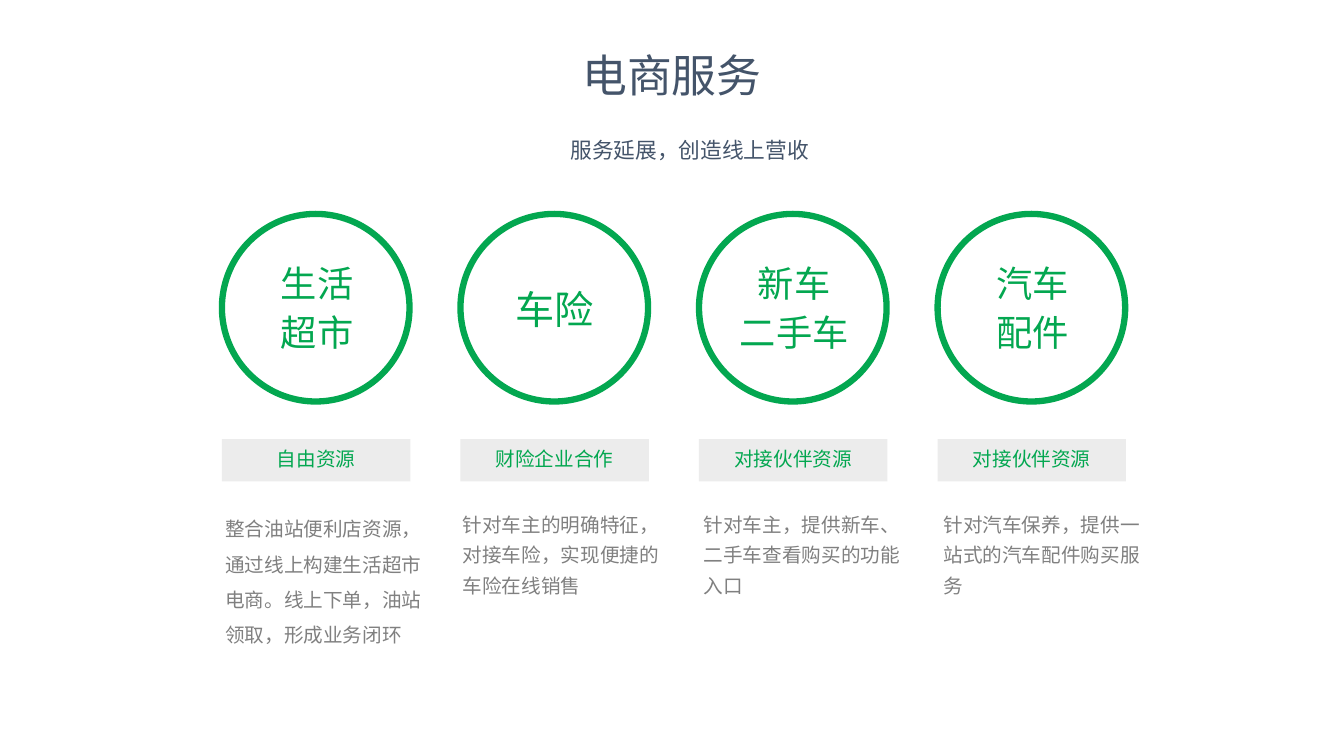
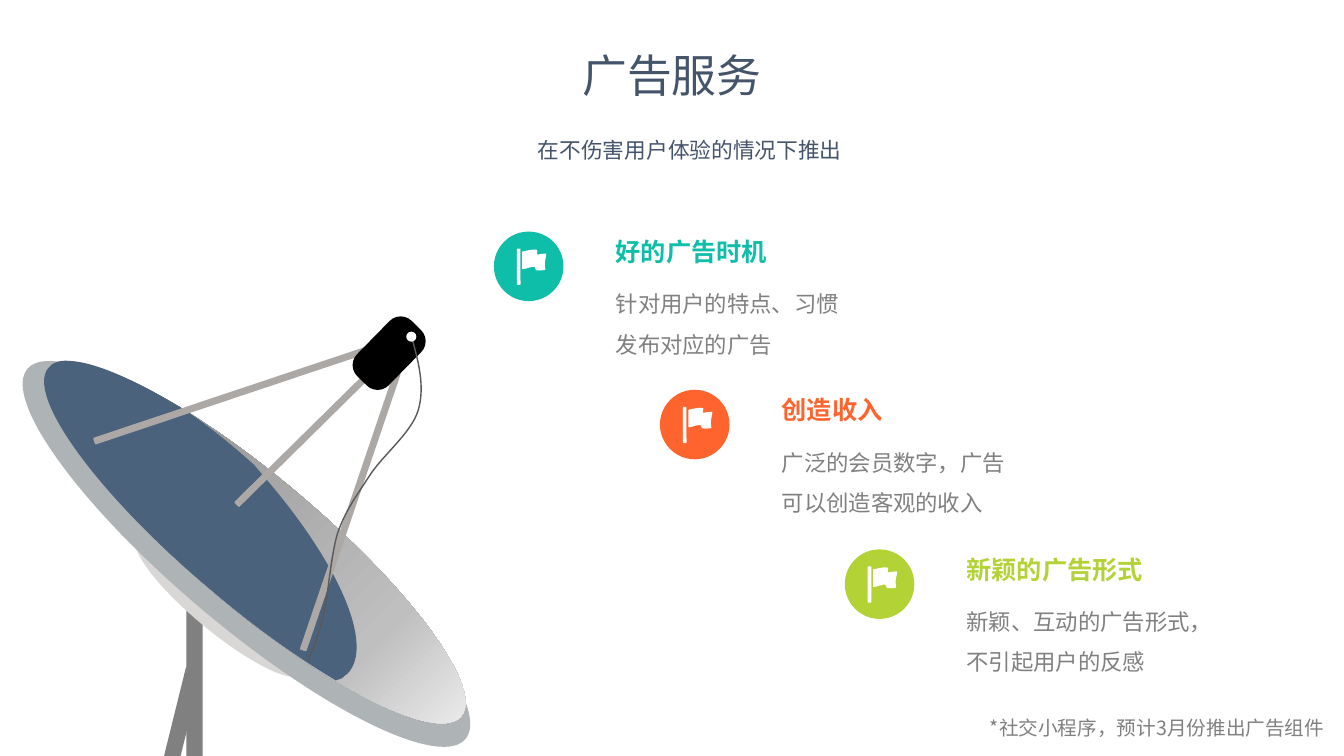
"""Build two service slides: e-commerce cards and advertising steps."""
import pptx
import pptx.dml.color
import pptx.enum.shapes
import pptx.enum.text
import pptx.oxml
import pptx.oxml.ns
import pptx.util

Pt = pptx.util.Pt
RGBColor = pptx.dml.color.RGBColor
SHAPE = pptx.enum.shapes.MSO_SHAPE
ALIGN = pptx.enum.text.PP_ALIGN
ANCHOR = pptx.enum.text.MSO_ANCHOR
qn = pptx.oxml.ns.qn

NAVY = RGBColor(0x44, 0x54, 0x6A)
GREEN = RGBColor(0x03, 0xA7, 0x50)
GRAY = RGBColor(0x80, 0x80, 0x80)
PALE = RGBColor(0xEC, 0xEC, 0xEC)
WHITE = RGBColor(0xFF, 0xFF, 0xFF)
BLACK = RGBColor(0x00, 0x00, 0x00)
TEAL = RGBColor(0x0E, 0xBE, 0xA9)
ORANGE = RGBColor(0xFF, 0x64, 0x2E)
LIME = RGBColor(0xB2, 0xD2, 0x35)
DISH_BACK = RGBColor(0xD8, 0xD7, 0xD6)
DISH_RIM = RGBColor(0xAE, 0xB3, 0xB5)
DISH_FACE = RGBColor(0x4B, 0x62, 0x7C)
STRUT = RGBColor(0xAB, 0xA8, 0xA5)
WIRE = RGBColor(0x59, 0x59, 0x59)

LATO = "Lato"
NOTO = "Noto Sans CJK SC"
NO_INSETS = (0, 0, 0, 0)
DEFAULT_INSETS = (7.2, 3.6, 7.2, 3.6)

CARDS = [
    (["生活", "超市"], "自由资源", 160.8,
     "整合油站便利店资源，通过线上构建生活超市电商。线上下单，油站领取，形成业务闭环", 1.5),
    (["车险"], "财险企业合作", 330.5,
     "针对车主的明确特征，对接车险，实现便捷的车险在线销售", 1.3),
    (["新车", "二手车"], "对接伙伴资源", 502.6,
     "针对车主，提供新车、二手车查看购买的功能入口", 1.3),
    (["汽车", "配件"], "对接伙伴资源", 673.9,
     "针对汽车保养，提供一站式的汽车配件购买服务", 1.3),
]
STEPS = [
    (352.8, 165.4, TEAL, "好的广告时机", "针对用户的特点、习惯发布对应的广告"),
    (471.4, 278.4, ORANGE, "创造收入", "广泛的会员数字，广告可以创造客观的收入"),
    (603.4, 392.4, LIME, "新颖的广告形式", "新颖、互动的广告形式，不引起用户的反感"),
]

FLAG = [
    (37.4, 15.8), (37.4, 15.8, 33.1, 15.8, 31, 16.6),
    (30.2, 16.6, 31, 14.4, 31, 13.7), (31, 11.5, 20.2, 14.4, 20.2, 14.4),
    (20.2, 26.6), (20.2, 26.6, 20.9, 27.4, 22.3, 26.6),
    (25.2, 25.9, 30.2, 23.8, 29.5, 26.6), (28.8, 28.8, 36.7, 27.4, 36.7, 27.4),
    (36.7, 27.4, 36, 22.3, 36.7, 20.2), (37.4, 17.3, 37.4, 15.8, 37.4, 15.8),
]
FACE_OUTLINE = [
    (49.7, 257.8), (66.2, 258.5, 92.2, 269.3, 123.8, 288), (132.5, 293),
    (137.5, 296.6), (149.8, 305.3, 162.7, 315.4, 175.7, 326.9),
    (181.4, 331.9), (193, 345.6), (243.4, 405.4, 267.1, 461.5, 248.4, 481),
    (247, 482.4, 245.5, 483.1, 244.1, 484.6), (239.8, 486), (237.6, 484.6),
    (211, 468.7, 180.7, 447.1, 150.5, 421.2),
    (69.8, 353.5, 18, 282.2, 34.6, 262.8), (37.4, 259.2, 42.5, 257, 49.7, 257.8),
]
WIRE_LINE = [
    (293.8, 239.8), (298.8, 257.8, 303.8, 275.8, 298.8, 293),
    (293.8, 309.6, 272.9, 325.4, 263.5, 340.6),
    (254.2, 355, 247, 364.3, 241.2, 380.9),
    (236.2, 397.4, 234.7, 424.1, 231.1, 439.2),
    (227.5, 454.3, 223.9, 463.7, 219.6, 472.3),
]


def set_all(target, values):
    """Set each named attribute of the target."""
    for name, value in values.items():
        setattr(target, name, value)


def write(box, lines, size, color, font=NOTO, bold=False, align=ALIGN.LEFT,
          spacing=1.0, gap=0, anchor=ANCHOR.TOP, insets=NO_INSETS):
    """Fill the box with one formatted paragraph per line."""
    frame = box.text_frame
    left, top, right, bottom = map(Pt, insets)
    set_all(frame, {
        "word_wrap": True, "auto_size": pptx.enum.text.MSO_AUTO_SIZE.NONE,
        "vertical_anchor": anchor, "margin_left": left, "margin_top": top,
        "margin_right": right, "margin_bottom": bottom})
    for index, line in enumerate(lines):
        para = frame.add_paragraph() if index else frame.paragraphs[0]
        set_all(para, {"alignment": align, "line_spacing": spacing,
                       "space_before": Pt(gap if index else 0)})
        span = para.add_run()
        span.text = line
        set_all(span.font, {"size": Pt(size), "bold": bold, "name": font})
        span.font.color.rgb = color
        properties = span._r.get_or_add_rPr()
        properties.set("lang", "zh-CN")
        properties.append(properties.makeelement(qn("a:ea"), {"typeface": LATO}))


def place(box, left, top, width, height):
    """Move and size a placeholder."""
    set_all(box, {"left": Pt(left), "top": Pt(top),
                  "width": Pt(width), "height": Pt(height)})


def add_text(page, bounds, lines, size, color, **options):
    """Add a text box."""
    box = page.shapes.add_textbox(*map(Pt, bounds))
    write(box, lines, size, color, **options)


def paint(shape, fill=None, line=None, width=0):
    """Give a shape its fill and line without a shadow."""
    shape.shadow.inherit = False
    if fill is None:
        shape.fill.background()
    else:
        shape.fill.solid()
        shape.fill.fore_color.rgb = fill
    if line is None:
        shape.line.fill.background()
    else:
        shape.line.color.rgb = line
        shape.line.width = Pt(width)


def add_figure(page, kind, bounds, fill=None, rotation=0, line=None, width=0):
    """Add a preset shape."""
    shape = page.shapes.add_shape(kind, *map(Pt, bounds))
    shape.rotation = rotation
    paint(shape, fill, line, width)
    return shape


def add_outline(page, segments, fill=None, line=None, width=0, left=0, top=0):
    """Add an outline of lines and cubic curves, closed when it is filled."""
    points = [(Pt(left + x), Pt(top + y)) for segment in segments
              for x, y in zip(segment[::2], segment[1::2])]
    builder = page.shapes.build_freeform(*points[0], scale=1.0)
    builder.add_line_segments(points[1:], close=fill is not None)
    shape = builder.convert_to_shape()
    bend(shape, segments)
    paint(shape, fill, line, width)


def bend(shape, segments):
    """Join the three points of each curve into one Bezier segment."""
    moves = iter(list(shape._element.iter(qn("a:lnTo"))))
    for segment in segments[1:]:
        move = next(moves)
        if len(segment) == 2:
            continue
        curve = move.makeelement(qn("a:cubicBezTo"), {})
        move.addprevious(curve)
        for part in (move, next(moves), next(moves)):
            curve.append(part[0])
            part.getparent().remove(part)


def shade_bowl(shape):
    """Replace the fill with a radial gray gradient."""
    stops = "".join(
        f'<a:gs pos="{position * 1000}"><a:srgbClr val="{color}"/></a:gs>'
        for position, color in ((0, "FFFFFF"), (27, "BFBFBF"), (97, "808080")))
    gradient = pptx.oxml.parse_xml(
        f'<a:gradFill {pptx.oxml.ns.nsdecls("a")} rotWithShape="1">'
        f'<a:gsLst>{stops}</a:gsLst><a:path path="circle">'
        '<a:fillToRect l="100000" t="100000"/></a:path></a:gradFill>')
    properties = shape._element.spPr
    properties.replace(properties.find(qn("a:noFill")), gradient)


def add_page(deck, title, subtitle, title_font):
    """Add a page with the shared title and subtitle style."""
    page = deck.slides.add_slide(deck.slide_layouts[0])
    heading, tagline = page.placeholders[0], page.placeholders[1]
    place(heading, 236.6, 32.4, 486.7, 42.5)
    write(heading, [title], 32, NAVY, font=title_font, align=ALIGN.CENTER,
          insets=(3.6, 1.4, 3.6, 1.4))
    place(tagline, 263.3, 89.6, 458.6, 33.1)
    write(tagline, [subtitle], 15.5, NAVY, font=LATO, align=ALIGN.CENTER,
          spacing=1.2, insets=(8.6, 4.6, 8.6, 4.3))
    return page


def add_card(page, index, names, label, detail_left, detail, spacing):
    """Add a ringed name, a label bar and a description."""
    left = 158.5 + 170.4 * index
    ring = add_figure(page, SHAPE.OVAL, (left, 152.8, 134, 134), line=GREEN, width=4.5)
    single = len(names) == 1
    write(ring, names, 28 if single else 25.9, GREEN, font=LATO,
          align=ALIGN.CENTER, spacing=0.9 if single else 0.8, gap=10,
          anchor=ANCHOR.MIDDLE, insets=(0 if single else 2, 5.6, 0, 0))
    bar = add_figure(page, SHAPE.RECTANGLE, (left, 313.7, 134.6, 30.2), PALE)
    write(bar, [label], 14, GREEN, font=LATO, align=ALIGN.CENTER,
          spacing=0.9, anchor=ANCHOR.MIDDLE)
    add_text(page, (detail_left, 361.1, 147.6, 67), [detail], 14, GRAY,
             spacing=spacing)


def add_dish(page):
    """Draw the satellite dish."""
    add_figure(page, SHAPE.ROUNDED_RECTANGLE, (133.2, 433.4, 11.5, 213.8), GRAY)
    add_figure(page, SHAPE.OVAL, (139, 357.8, 34.6, 151.2), DISH_BACK, 309.6)
    add_figure(page, SHAPE.OVAL, (125.3, 190.8, 101.5, 409.7), DISH_RIM, 310.2)
    shade_bowl(add_figure(page, SHAPE.OVAL, (136.8, 196.6, 92.9, 383), rotation=310.2))
    add_outline(page, FACE_OUTLINE, DISH_FACE)
    for left, top, length, rotation in (
            (61.9, 280.1, 205.9, 341.5), (147.6, 306, 148.3, 315.4),
            (145.4, 362.9, 209.5, 108.8)):
        add_figure(page, SHAPE.ROUNDED_RECTANGLE, (left, top, length, 5), STRUT, rotation)
    receiver = add_figure(page, SHAPE.ROUNDED_RECTANGLE,
                          (262.1, 224.6, 31.7, 55.4), BLACK, 44.4)
    receiver.adjustments[0] = 0.35
    add_outline(page, WIRE_LINE, line=WIRE, width=1)
    add_figure(page, SHAPE.ROUNDED_RECTANGLE, (107.3, 473.8, 11.5, 213.8), GRAY, 13.9)
    add_figure(page, SHAPE.OVAL, (290.2, 236.9, 7.2, 7.2), WHITE)


def add_step(page, left, top, color, title, detail):
    """Add a flag badge with its heading and text."""
    add_figure(page, SHAPE.OVAL, (left, top, 49.7, 49.7), color)
    add_outline(page, FLAG, WHITE, left=left, top=top)
    add_figure(page, SHAPE.ROUNDED_RECTANGLE, (left + 16.4, top + 12.2, 2.6, 25.9), WHITE)
    add_text(page, (left + 79.9, top, 186.5, 28.8), [title], 18, color,
             bold=True, insets=DEFAULT_INSETS)
    add_text(page, (left + 79.9, top + 29, 186.5, 61.9), [detail], 16, GRAY,
             spacing=1.5, insets=DEFAULT_INSETS)


def main():
    """Build and save the deck."""
    deck = pptx.Presentation()
    set_all(deck, {"slide_width": Pt(960), "slide_height": Pt(540)})

    shop = add_page(deck, "电商服务", "服务延展，创造线上营收", LATO)
    for index, card in enumerate(CARDS):
        add_card(shop, index, *card)

    adverts = add_page(deck, "广告服务", "在不伤害用户体验的情况下推出", NOTO)
    add_dish(adverts)
    for step in STEPS:
        add_step(adverts, *step)
    add_text(adverts, (413.8, 507.6, 539.3, 24.5), ["*社交小程序，预计3月份推出广告组件"],
             14, GRAY, align=ALIGN.RIGHT, insets=DEFAULT_INSETS)

    deck.save("out.pptx")


if __name__ == "__main__":
    main()
